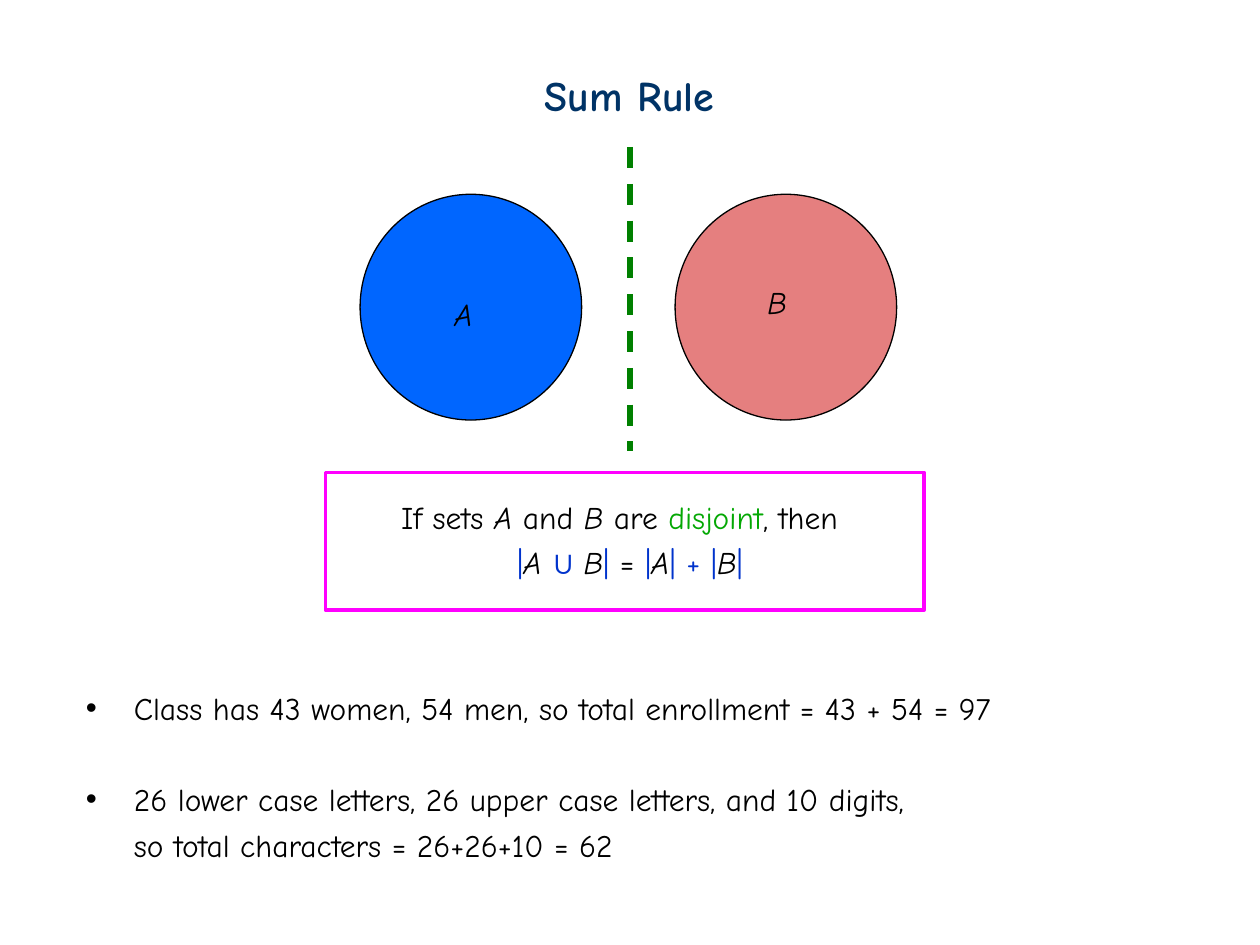
from lxml.etree import SubElement
from pptx import Presentation
from pptx.dml.color import RGBColor
from pptx.enum.dml import MSO_LINE
from pptx.enum.shapes import MSO_CONNECTOR, MSO_SHAPE
from pptx.enum.text import MSO_ANCHOR, MSO_AUTO_SIZE, PP_ALIGN
from pptx.oxml.ns import qn
from pptx.util import Inches, Pt

UNIT = Inches(1) / 12  # the slide is a grid of 120 columns and 90 rows
COLORS = {
    "ink": "000000", "title": "003366", "operator": "0033CC", "term": "04A804",
    "set_a": "0066FF", "set_b": "CC0000", "frame": "FF00FF", "divider": "008000",
}
BODY = {"name": "Comic Neue", "size": Pt(18), "bold": False, "italic": False}
TITLE = {**BODY, "size": Pt(24), "bold": True}
SET_NAME = {**BODY, "italic": True}
SYMBOL = {**BODY, "name": "Arial"}
LINE_GAP = Pt(4.5)
BULLET_GAP = Pt(30.6)
HANG = Inches(0.38)


def grid(*lengths):
    return [round(length * UNIT) for length in lengths]


def rgb(color):
    return RGBColor.from_string(COLORS[color])


def apply(target, values):
    for attribute, value in values.items():
        setattr(target, attribute, value)


def add_run(paragraph, text, style=BODY, color="ink"):
    run = paragraph.add_run()
    run.text = text
    apply(run.font, style)
    run.font.color.rgb = rgb(color)


def add_text_box(slide, place, wrap=True):
    frame = slide.shapes.add_textbox(*grid(*place)).text_frame
    frame.word_wrap = wrap
    return frame


def add_paragraph(frame, first, gap):
    """Use the box's own paragraph first; later ones stand a gap below."""
    if first:
        return frame.paragraphs[0]
    paragraph = frame.add_paragraph()
    paragraph.space_before = gap
    return paragraph


def add_title(slide, text):
    title = slide.shapes.title
    apply(title, dict(zip(("left", "top", "width", "height"), grid(50.6, 6, 18.7, 6))))
    frame = title.text_frame
    apply(frame, {"word_wrap": False, "vertical_anchor": MSO_ANCHOR.TOP,
                  "auto_size": MSO_AUTO_SIZE.NONE})
    frame.paragraphs[0].alignment = PP_ALIGN.CENTER
    add_run(frame.paragraphs[0], text, TITLE, "title")


def add_outline(slide, preset, place, line_color, line_width):
    shape = slide.shapes.add_shape(preset, *grid(*place))
    shape.shadow.inherit = False
    shape.fill.background()
    shape.line.color.rgb = rgb(line_color)
    shape.line.width = Pt(line_width)
    return shape


def add_set(slide, name, left, color, label_offset, opacity=100):
    """Draw a set as a circle with its name inside."""
    top = 18.5
    circle = add_outline(slide, MSO_SHAPE.OVAL, (left, top, 21.1, 21.5), "ink", 0.75)
    circle.fill.solid()
    circle.fill.fore_color.rgb = rgb(color)
    if opacity < 100:
        color_element = circle.fill._xPr.find(qn("a:solidFill"))[0]
        SubElement(color_element, qn("a:alpha")).set("val", str(opacity * 1000))
    across, down = label_offset
    label = add_text_box(slide, (left + across, top + down, 4.1, 4.8), wrap=False)
    add_run(label.paragraphs[0], name, SET_NAME)


def add_divider(slide, column, top, bottom):
    divider = slide.shapes.add_connector(
        MSO_CONNECTOR.STRAIGHT, *grid(column, top, column, bottom))
    divider.line.color.rgb = rgb("divider")
    apply(divider.line, {"width": Pt(3), "dash_style": MSO_LINE.DASH})
    SubElement(divider._element.spPr, qn("a:effectLst"))


def add_rule(slide, place, lines):
    frame = add_text_box(slide, place)
    for number, pieces in enumerate(lines):
        paragraph = add_paragraph(frame, number == 0, LINE_GAP)
        paragraph.alignment = PP_ALIGN.CENTER
        for piece in pieces:
            add_run(paragraph, *piece)


def add_examples(slide, place, lines):
    """List the examples; a line without a bullet continues the one above."""
    frame = add_text_box(slide, place)
    for number, (text, bulleted) in enumerate(lines):
        paragraph = add_paragraph(frame, number == 0, BULLET_GAP if bulleted else LINE_GAP)
        properties = paragraph._p.get_or_add_pPr()
        properties.set("marL", str(HANG))
        properties.set("indent", str(-HANG if bulleted else 0))
        if bulleted:
            bullet_color = SubElement(properties, qn("a:buClr"))
            SubElement(bullet_color, qn("a:srgbClr")).set("val", COLORS["ink"])
            SubElement(properties, qn("a:buFont")).set("typeface", "Arial")
            SubElement(properties, qn("a:buChar")).set("char", "•")
        add_run(paragraph, text)


def main():
    deck = Presentation()
    deck.slide_width, deck.slide_height = grid(120, 90)
    slide = deck.slides.add_slide(deck.slide_layouts[5])
    add_title(slide, "Sum Rule")

    set_a, set_b = ("A", SET_NAME), ("B", SET_NAME)
    bar = ("|", BODY, "operator")
    statement = [("If sets ",), set_a, (" and ",), set_b, (" are ",),
                 ("disjoint", BODY, "term"), (", then ",)]
    formula = [(" ",), bar, ("A ", SET_NAME), ("∪ ", SYMBOL, "operator"), set_b, bar,
               (" = ",), bar, set_a, ("| + |", BODY, "operator"), set_b, bar]
    add_rule(slide, (33, 46.8, 53, 9.2), [statement, formula])

    add_set(slide, "A", 34.3, "set_a", (7.8, 9))
    add_set(slide, "B", 64.3, "set_b", (7.6, 7.9), opacity=50)
    add_outline(slide, MSO_SHAPE.RECTANGLE, (31, 45, 57, 13.1), "frame", 2.25)
    add_divider(slide, 60, 14, 43)

    add_examples(slide, (7, 65, 105, 19), [
        ("Class has 43 women, 54 men, so total enrollment = 43 + 54 = 97", True),
        ("26 lower case letters, 26 upper case letters, and 10 digits,", True),
        ("so total characters = 26+26+10 = 62", False),
    ])
    deck.save("out.pptx")


if __name__ == "__main__":
    main()
